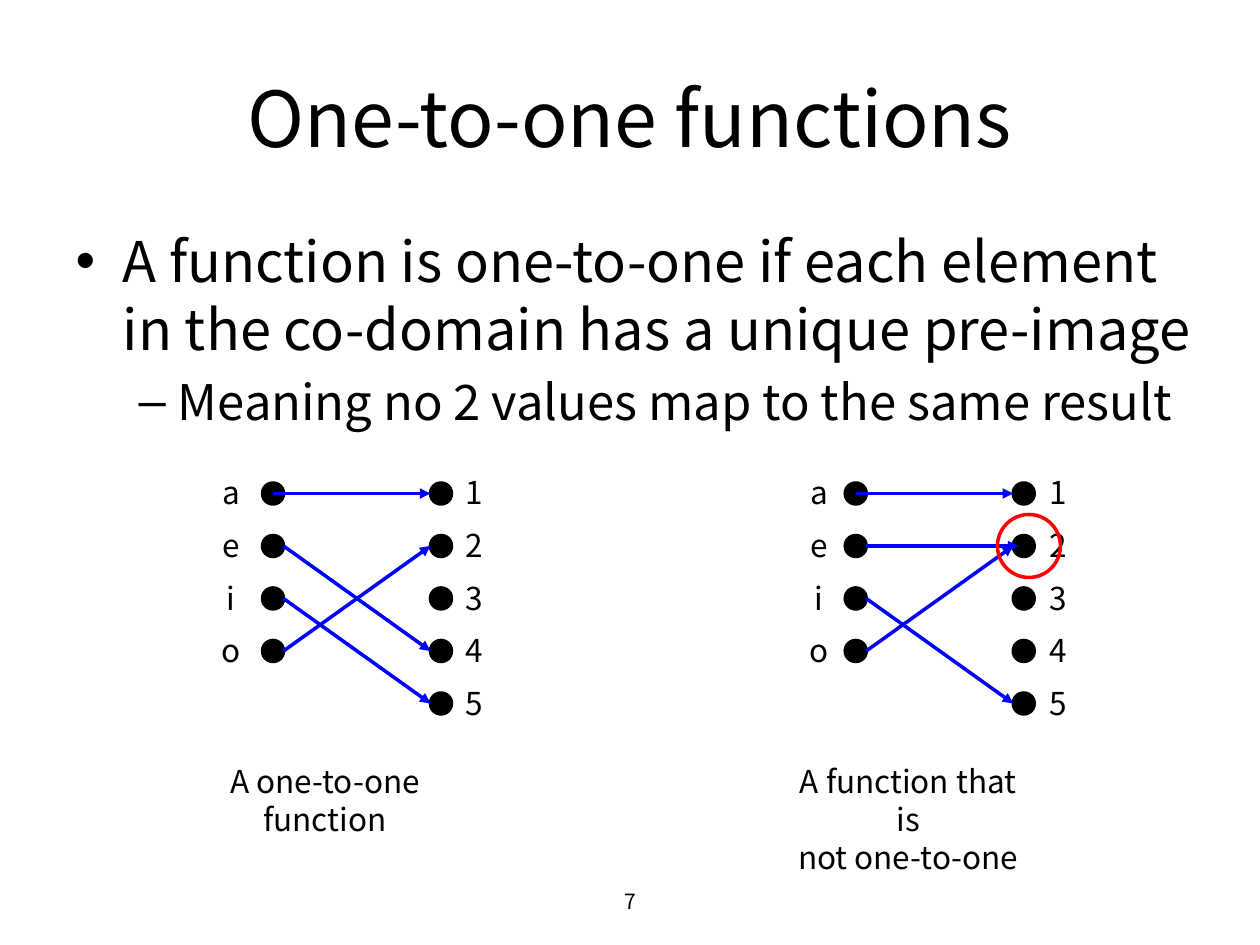
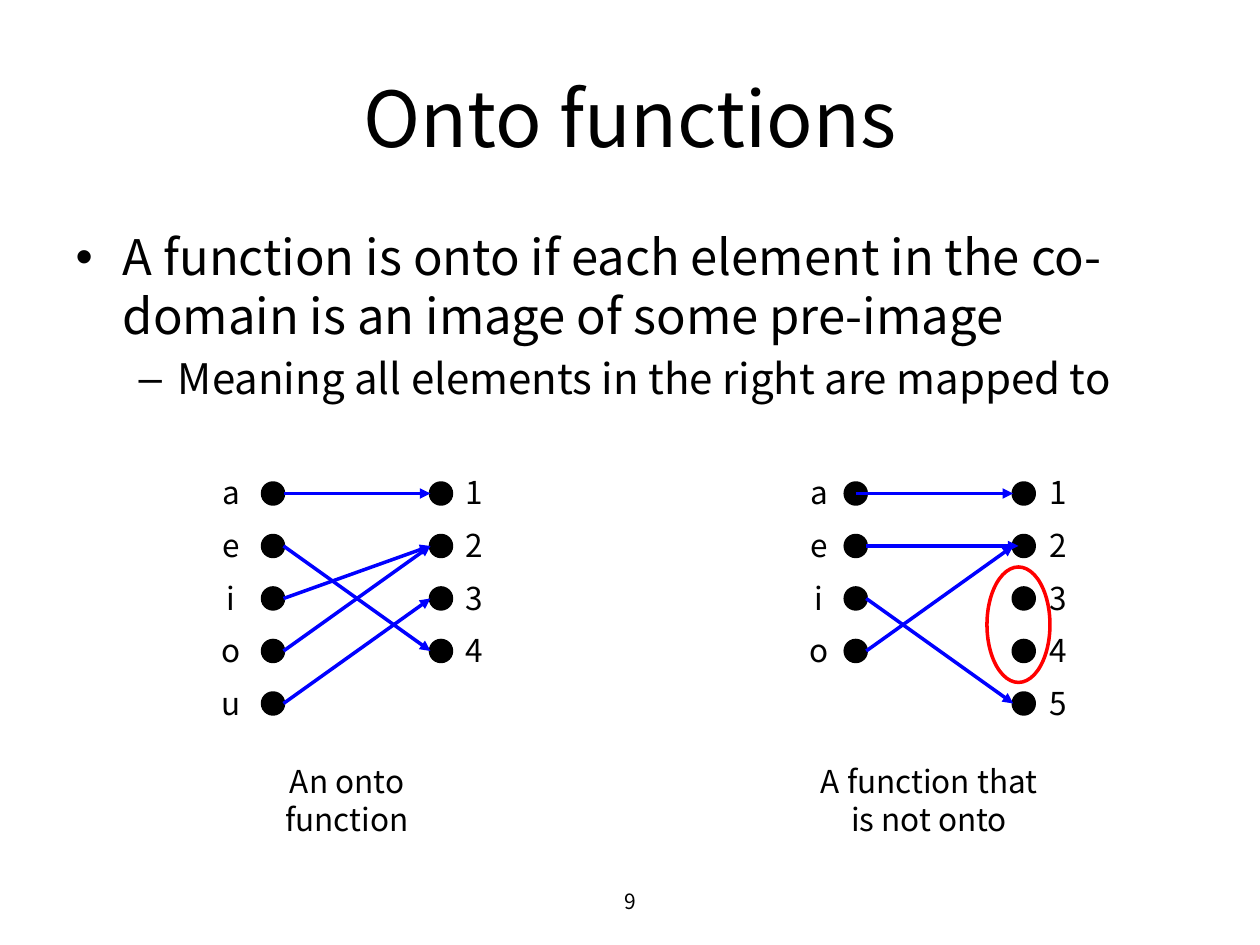
from dataclasses import dataclass

from lxml.etree import SubElement as sub
from pptx import Presentation
from pptx.dml.color import RGBColor as RGB
from pptx.enum.shapes import MSO_CONNECTOR as LINE, MSO_SHAPE as SHAPE
from pptx.enum.text import MSO_ANCHOR as ANCHOR, MSO_AUTO_SIZE as FIT, PP_ALIGN as ALIGN
from pptx.oxml.ns import qn
from pptx.util import Inches, Pt


@dataclass(frozen=True)
class Theme:
    font: str = "Noto Sans CJK KR"
    ink: RGB = RGB(0, 0, 0)
    arrow: RGB = RGB(0, 0, 255)
    ring: RGB = RGB(255, 0, 0)
    title: int = 44
    label: int = 18
    foot: int = 12
    stroke: int = 2


THEME = Theme()

# The grid divides an inch into 12 cells, so a slide is 120 by 90.
ROW, STEP, DOT, SPAN = 47, 5, 2, 16


def cells(*nums):
    """Turn grid cells into lengths."""
    return [Inches(num / 12) for num in nums]


def write(shape, text, size=THEME.label, align=ALIGN.CENTER, wrap=True,
          anchor=ANCHOR.TOP, space=None, sizes=None):
    """Fill a shape, one paragraph a line; sizes gives each list level its own."""
    frame = shape.text_frame
    frame.text = text
    frame.word_wrap = wrap
    frame.auto_size = FIT.NONE
    frame.vertical_anchor = anchor
    for num, para in enumerate(frame.paragraphs):
        para.alignment = align
        if space:
            para.line_spacing = space
        if sizes:
            para.level = num
        if num == 0:
            para.space_before = Pt(0)
        for run in para.runs:
            run.font.name = THEME.font
            run.font.size = Pt(sizes[num] if sizes else size)
            run.font.color.rgb = THEME.ink


# Each map: columns of the tags, dots and numbers; arrows as tag and number;
# nudge shifts an arrow's start and end; note is its left, width and text.
LEFT = dict(tag_x=20, dot_x=25, num_x=43.2)
RIGHT = dict(tag_x=76, dot_x=80.5, num_x=98.8, tags="aeio", nums="12345",
             arrows="a1 e2 o2 i5", nudge={"a1": (-1, 0), "e2": (0, 0.5)})

SLIDES = [
    dict(
        page="7", title="One-to-one functions", width=109.8, sizes=(32, 28),
        body="A function is one-to-one if each element in the co-domain has a unique pre-image\n"
             "Meaning no 2 values map to the same result",
        maps=[
            dict(LEFT, tags="aeio", nums="12345", arrows="a1 e4 o2 i5",
                 nudge={"a1": (-1, 0)}, note=(15.4, 31.1, "A one-to-one function")),
            dict(RIGHT, note=(73.8, 25.4, "A function that is\nnot one-to-one")),
        ],
        ring=(95, 49, 6, 6),
    ),
    dict(
        page="9", title="Onto functions", width=110.6, sizes=(28, 24),
        body="A function is onto if each element in the co-domain is an image of some pre-image\n"
             "Meaning all elements in the right are mapped to",
        maps=[
            dict(LEFT, tags="aeiou", nums="1234", arrows="a1 e4 o2 i2 u3",
                 nudge={}, note=(21, 24.1, "An onto function")),
            dict(RIGHT, note=(77, 23, "A function that is not onto")),
        ],
        ring=(94, 54, 6, 11),
    ),
]

deck = Presentation()
deck.slide_width, deck.slide_height = cells(120, 90)

for page in SLIDES:
    slide = deck.slides.add_slide(deck.slide_layouts[1])
    title, body = slide.placeholders
    title.left, title.top, title.width, title.height = cells(6, 3.6, 108, 15)
    write(title, page["title"], size=THEME.title, anchor=ANCHOR.MIDDLE)
    body.left, body.top, body.width, body.height = cells(6, 21, page["width"], 59.4)
    write(body, page["body"], align=ALIGN.LEFT, sizes=page["sizes"])
    foot = slide.shapes.add_textbox(*cells(41, 83.4, 38, 4.8))
    write(foot, page["page"], size=THEME.foot, anchor=ANCHOR.MIDDLE)

    for plan in page["maps"]:
        group = slide.shapes.add_group_shape().shapes
        tags, nums, dot_x = plan["tags"], plan["nums"], plan["dot_x"]

        for names, col, text_x in ((tags, dot_x, plan["tag_x"]),
                                   (nums, dot_x + SPAN, plan["num_x"])):
            for row in range(len(names)):
                dot = group.add_shape(
                    SHAPE.OVAL, *cells(col, ROW - DOT / 2 + STEP * row, DOT, DOT))
                dot.shadow.inherit = False
                dot.fill.solid()
                dot.fill.fore_color.rgb = THEME.ink
                dot.line.color.rgb = THEME.ink
                dot.line.width = Pt(THEME.stroke)
            label = group.add_textbox(*cells(text_x, 43, 4, 26.4))
            write(label, "\n".join(names), wrap=False, space=1.4)

        for pair in plan["arrows"].split():
            tag, num = pair
            start, end = plan["nudge"].get(pair, (0, 0))
            arrow = group.add_connector(LINE.STRAIGHT, *cells(
                dot_x + DOT + start, ROW + STEP * tags.index(tag),
                dot_x + SPAN + end, ROW + STEP * nums.index(num)))
            arrow.line.color.rgb = THEME.arrow
            arrow.line.width = Pt(THEME.stroke)
            sub(arrow.line._get_or_add_ln(), qn("a:tailEnd"), type="triangle")
            sub(arrow._element.spPr, qn("a:effectLst"))

        left, width, text = plan["note"]
        note = group.add_textbox(*cells(left, 72, width, 8.4))
        write(note, text)

    ring = slide.shapes.add_shape(SHAPE.OVAL, *cells(*page["ring"]))
    ring.shadow.inherit = False
    ring.fill.background()
    ring.line.color.rgb = THEME.ring
    ring.line.width = Pt(THEME.stroke)

deck.save("out.pptx")
